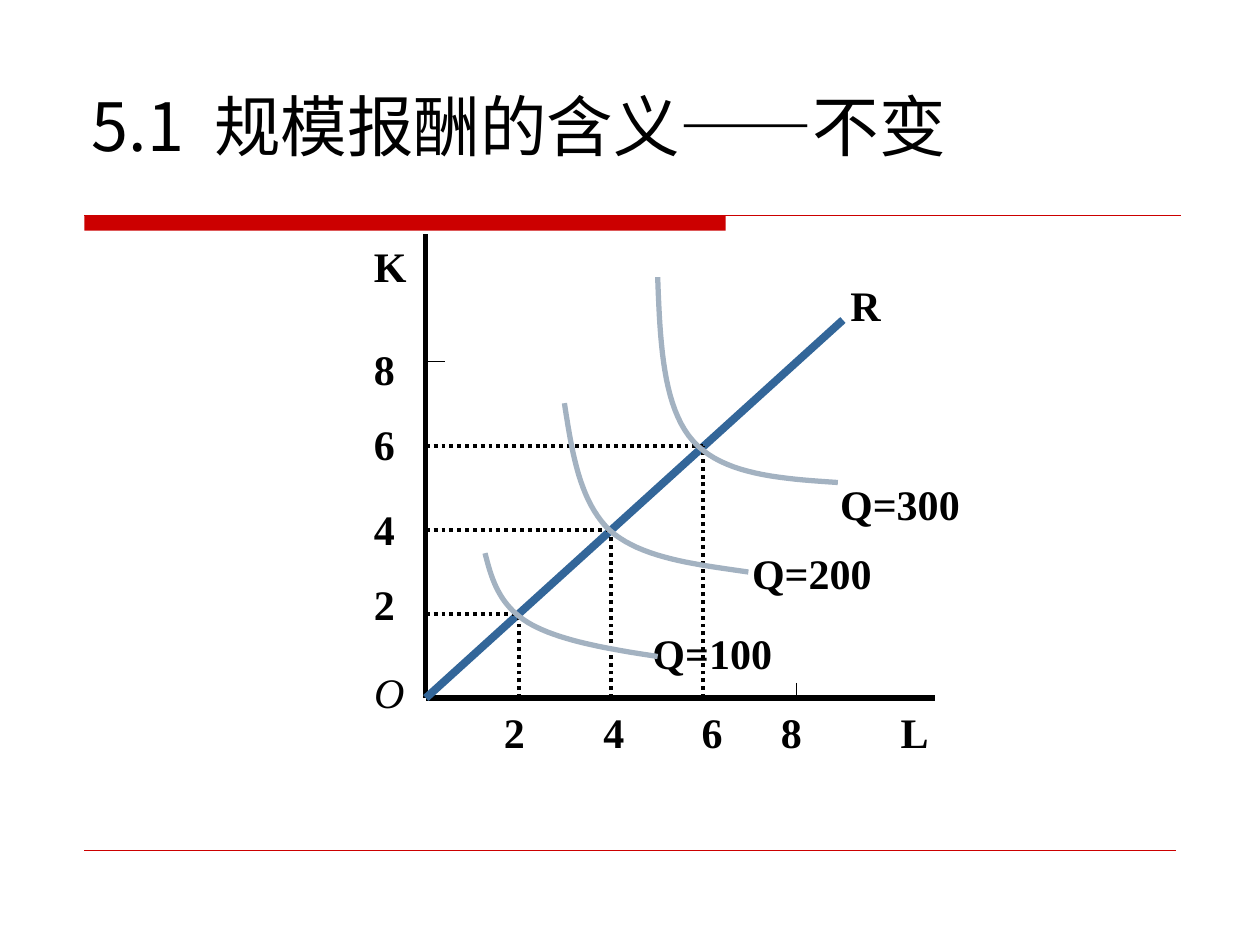
from dataclasses import dataclass
from lxml.etree import SubElement
from pptx import Presentation
from pptx.dml.color import RGBColor
from pptx.enum.dml import MSO_LINE
from pptx.enum.shapes import MSO_CONNECTOR, MSO_SHAPE
from pptx.enum.text import MSO_ANCHOR
from pptx.oxml.ns import qn
from pptx.util import Inches, Pt


@dataclass
class Theme:
    red = RGBColor(0xCC, 0x00, 0x00)
    black = RGBColor(0x00, 0x00, 0x00)
    blue = RGBColor(0x33, 0x66, 0x99)
    grey = RGBColor(0xA3, 0xB2, 0xC1)
    sans = "Noto Sans CJK SC"
    serif = "Times New Roman"
    head = Pt(38)
    label = Pt(24)


theme = Theme()
deck = Presentation()
deck.slide_width, deck.slide_height = Inches(10), Inches(7.5)
slide = deck.slides.add_slide(deck.slide_layouts[6])
shapes = slide.shapes


def add_line(x1, y1, x2, y2, color, width):
    line = shapes.add_connector(
        MSO_CONNECTOR.STRAIGHT, Inches(x1), Inches(y1), Inches(x2), Inches(y2))
    line.line.color.rgb = color
    line.line.width = Pt(width)
    SubElement(line._element.spPr, qn("a:effectLst"))
    return line


def add_text(parts, left, top, width, height, font, size):
    box = shapes.add_textbox(
        Inches(left), Inches(top), Inches(width), Inches(height))
    box.text_frame.word_wrap = True
    for part in parts:
        run = box.text_frame.paragraphs[0].add_run()
        run.text = part
        run.font.name = font
        run.font.size = size
        run.font.color.rgb = theme.black
        SubElement(run.font._element, qn("a:ea"), typeface=font)
    return box


# Red rules and title
bar = shapes.add_shape(
    MSO_SHAPE.RECTANGLE, Inches(0.67), Inches(1.71), Inches(5.09), Inches(0.12))
bar.shadow.inherit = False
bar.fill.solid()
bar.fill.fore_color.rgb = theme.red
bar.line.fill.background()
add_line(0.67, 1.71, 9.37, 1.71, theme.red, 0.75)
add_line(0.67, 6.75, 9.33, 6.75, theme.red, 0.25)

title = add_text(["5.1", " ", "规模报酬的含义——不变"],
                 0.63, 0.33, 8.75, 1.33, theme.sans, theme.head)
title.text_frame.vertical_anchor = MSO_ANCHOR.MIDDLE
gap = title.text_frame.paragraphs[0].runs[1]
gap.font._element.set("spc", "860")  # widens the space after the number

# Labels of the axes, ticks, ray and curves
labels = [
    ("Q=100", 5.08, 4.93, 1.39), ("Q=200", 5.87, 4.3, 1.41),
    ("Q=300", 6.57, 3.75, 1.46),
    ("2", 3.9, 5.56, 0.38), ("4", 4.69, 5.56, 0.3),
    ("6", 5.47, 5.56, 0.37), ("8", 6.1, 5.56, 0.44),
    ("2", 2.87, 4.54, 0.47), ("4", 2.87, 3.95, 0.47),
    ("6", 2.87, 3.27, 0.47), ("8", 2.87, 2.68, 0.47),
    ("L", 7.05, 5.56, 0.43), ("O", 2.87, 5.24, 0.48),
    ("K", 2.87, 1.86, 0.4), ("R", 6.65, 2.17, 0.48),
]
for text, left, top, width in labels:
    box = add_text([text], left, top, width, 0.43, theme.serif, theme.label)
    font = box.text_frame.paragraphs[0].runs[0].font
    font.bold = text != "O"
    font.italic = text == "O"

# Axes, with ticks at 8 units
left, base = 3.38, 5.54
xs = {n: round(left + n * 2.94 / 8, 2) for n in (2, 4, 6, 8, 9)}
ys = {n: round(base - n * 2.67 / 8, 2) for n in (2, 4, 6, 8, 9)}
add_line(left, base, 7.42, base, theme.black, 3)
add_line(xs[8], base - 0.12, xs[8], base, theme.black, 0.75)
add_line(left, base, left, 1.86, theme.black, 3)
add_line(left + 0.15, ys[8], left, ys[8], theme.black, 0.75)

# Ray R and dotted guides
add_line(left, base, xs[9], ys[9], theme.blue, 4.5)
for n in (2, 4, 6):
    for x, y in ((left, ys[n]), (xs[n], base)):
        guide = add_line(x, y, xs[n], ys[n], theme.black, 2.25)
        guide.line.dash_style = MSO_LINE.ROUND_DOT

# Isoquants: two cubic segments each, sampled into short steps
curves = [
    [(3.85, 4.39), (3.9, 4.59), (3.96, 4.8), (4.19, 4.94),
     (4.42, 5.08), (4.82, 5.15), (5.22, 5.21)],
    [(4.48, 3.2), (4.54, 3.59), (4.6, 3.98), (4.84, 4.21),
     (5.09, 4.43), (5.52, 4.48), (5.94, 4.54)],
    [(5.22, 2.2), (5.24, 2.72), (5.26, 3.23), (5.5, 3.5),
     (5.74, 3.77), (6.2, 3.8), (6.65, 3.83)],
]
steps = 20
for knots in curves:
    points = []
    for first in (0, 3):
        for i in range(1, steps + 1):
            t = i / steps
            mix = ((1 - t) ** 3, 3 * t * (1 - t) ** 2, 3 * t * t * (1 - t), t ** 3)
            quad = knots[first:first + 4]
            points.append([Inches(sum(m * p[k] for m, p in zip(mix, quad)))
                           for k in (0, 1)])
    start = [Inches(v) for v in knots[0]]
    path = shapes.build_freeform(*start)
    path.add_line_segments(points, close=False)
    curve = path.convert_to_shape()
    curve.shadow.inherit = False
    curve.fill.background()
    curve.line.color.rgb = theme.grey
    curve.line.width = Pt(3)

deck.save("out.pptx")
